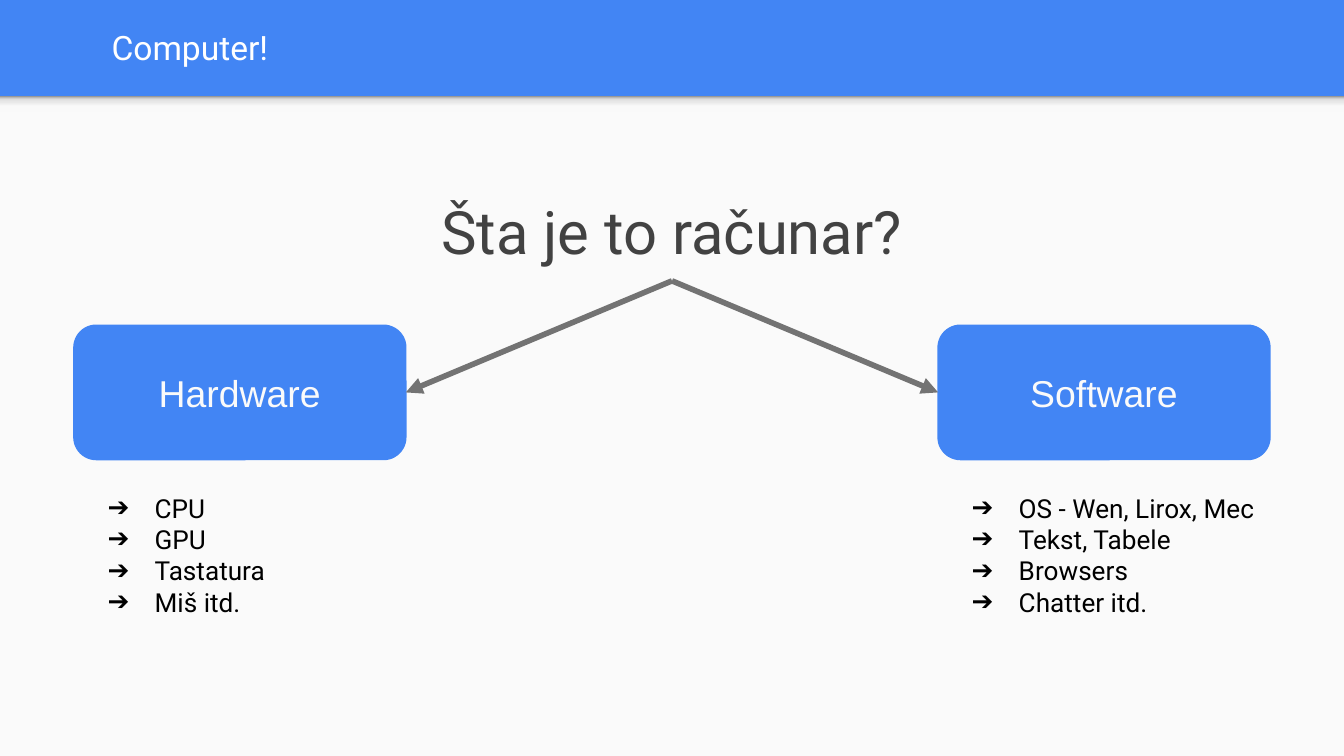
import pptx
import pptx.dml.color
import pptx.enum.shapes
import pptx.enum.text
import pptx.oxml
import pptx.oxml.ns
import pptx.util
from pptx.util import Inches

BLUE = pptx.dml.color.RGBColor(0x42, 0x85, 0xF4)
OFF_WHITE = pptx.dml.color.RGBColor(0xFA, 0xFA, 0xFA)
WHITE = pptx.dml.color.RGBColor(0xFF, 0xFF, 0xFF)
BLACK = pptx.dml.color.RGBColor(0, 0, 0)
DARK_GREY = pptx.dml.color.RGBColor(0x42, 0x42, 0x42)
GREY = pptx.dml.color.RGBColor(0x73, 0x73, 0x73)
SHADE_STOPS = [(0, "F9F9F9"), (36, "F9F9F9"), (80, "DEDEDE"), (100, "999999")]

ALIGN = pptx.enum.text.PP_ALIGN
ANCHOR = pptx.enum.text.MSO_ANCHOR
SHAPE = pptx.enum.shapes.MSO_SHAPE
NAMESPACE = pptx.oxml.ns.nsdecls("a")


def set_text(shape, text, size, color, font="Roboto", align=ALIGN.LEFT,
             anchor=ANCHOR.TOP, bullet=None):
    """Fill a shape with one paragraph per line of text, all in one format."""
    frame = shape.text_frame
    frame.text = text
    frame.word_wrap = True
    frame.auto_size = pptx.enum.text.MSO_AUTO_SIZE.NONE
    frame.vertical_anchor = anchor
    frame.margin_left = frame.margin_right = Inches(0.1)
    frame.margin_top = frame.margin_bottom = Inches(0.1)
    for paragraph in frame.paragraphs:
        paragraph.alignment = align
        paragraph.space_before = pptx.util.Pt(0)
        font_format = paragraph.runs[0].font
        font_format.name = font
        font_format.size = pptx.util.Pt(size)
        font_format.color.rgb = color
        if bullet:
            properties = paragraph._p.get_or_add_pPr()
            properties.set("marL", str(Inches(0.5)))
            properties.set("indent", str(Inches(-0.35)))
            for xml in (
                f'<a:buClr {NAMESPACE}><a:srgbClr val="{color}"/></a:buClr>',
                f'<a:buFont {NAMESPACE} typeface="{font}"/>',
                f'<a:buChar {NAMESPACE} char="{bullet}"/>',
            ):
                properties.append(pptx.oxml.parse_xml(xml))


def place(shape, left, top, width, height):
    shape.left, shape.top = Inches(left), Inches(top)
    shape.width, shape.height = Inches(width), Inches(height)


presentation = pptx.Presentation()
presentation.slide_width = Inches(10)
presentation.slide_height = Inches(10) * 9 // 16
slide = presentation.slides.add_slide(
    presentation.slide_layouts.get_by_name("Two Content"))
slide.background.fill.solid()
slide.background.fill.fore_color.rgb = BLUE
title, *lists = list(slide.placeholders)[:3]

# Light panel below the header, with the header's shade, behind the placeholders
panel_height = Inches(4.91)
panel_top = presentation.slide_height - panel_height
panel = slide.shapes.add_shape(
    SHAPE.RECTANGLE, 0, panel_top, Inches(10), panel_height)
panel.fill.solid()
panel.fill.fore_color.rgb = OFF_WHITE
shade = slide.shapes.add_shape(
    SHAPE.RECTANGLE, 0, panel_top, Inches(10), Inches(0.12))
shade.fill.gradient()
shade.fill.gradient_angle = 90
stop_list = shade.element.spPr.find(".//" + pptx.oxml.ns.qn("a:gsLst"))
for stop in list(stop_list):
    stop_list.remove(stop)
for percent, color in SHADE_STOPS:
    stop_list.append(pptx.oxml.parse_xml(
        f'<a:gs {NAMESPACE} pos="{percent * 1000}"><a:srgbClr val="{color}"/></a:gs>'))
for shape in (panel, shade):
    shape.line.fill.background()
    shape.shadow.inherit = False
    title.element.addprevious(shape.element)

place(title, 0.73, 0.02, 9.27, 0.66)
set_text(title, "Computer!", size=18, color=WHITE, anchor=ANCHOR.MIDDLE)

question = slide.shapes.add_textbox(
    Inches(1.26), Inches(1.35), Inches(7.48), Inches(0.74))
set_text(question, "Šta je to računar?", size=32, color=DARK_GREY, align=ALIGN.CENTER)

# Each branch: left edge, name, items, side of the box that the arrow meets
branches = [
    (0.55, "Hardware", ["CPU", "GPU", "Tastatura", "Miš itd."], 3),
    (6.98, "Software",
     ["OS - Wen, Lirox, Mec", "Tekst, Tabele", "Browsers", "Chatter itd."], 1),
]
for (left, name, items, side), item_list in zip(branches, lists):
    box = slide.shapes.add_shape(
        SHAPE.ROUNDED_RECTANGLE, Inches(left), Inches(2.42), Inches(2.47), Inches(1))
    box.shadow.inherit = False
    box.fill.solid()
    box.fill.fore_color.rgb = BLUE
    box.line.color.rgb = BLUE
    box.line.width = pptx.util.Pt(0.75)
    set_text(box, name, size=20, color=OFF_WHITE, font="Arial",
             align=ALIGN.CENTER, anchor=ANCHOR.MIDDLE)

    arrow = slide.shapes.add_connector(
        pptx.enum.shapes.MSO_CONNECTOR.STRAIGHT, 0, 0, 0, 0)
    arrow.begin_connect(question, 2)
    arrow.end_connect(box, side)
    arrow.line.color.rgb = GREY
    arrow.line.width = pptx.util.Pt(3)
    arrow.line._get_or_add_ln().append(
        pptx.oxml.parse_xml(f'<a:tailEnd {NAMESPACE} type="triangle"/>'))
    arrow.element.spPr.append(pptx.oxml.parse_xml(f"<a:effectLst {NAMESPACE}/>"))

    place(item_list, left, 3.56, 2.47, 1.14)
    set_text(item_list, "\n".join(items), size=14, color=BLACK, bullet="➔")

presentation.save("out.pptx")
